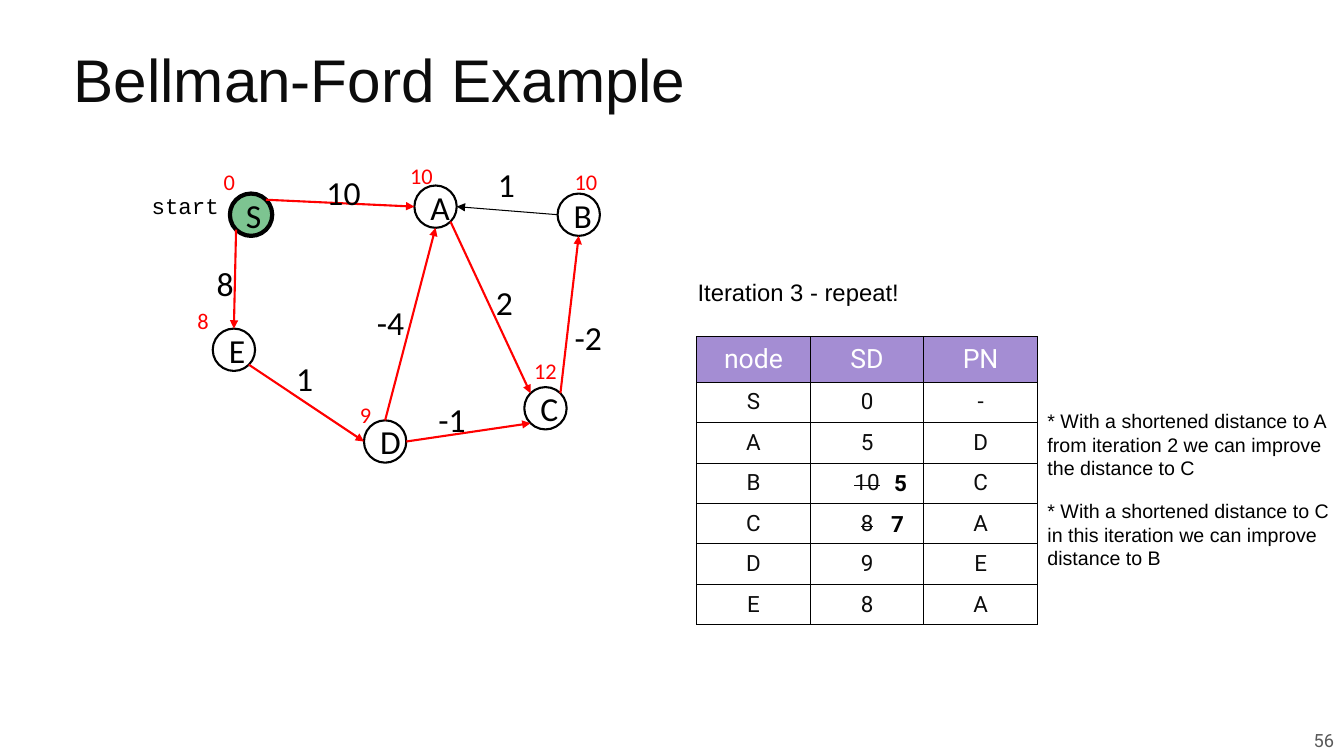
import math
from collections import namedtuple
from dataclasses import dataclass

import pptx
import pptx.util
import pptx.dml.color
import pptx.enum.shapes
import pptx.enum.text
import pptx.oxml
import pptx.oxml.ns
from pptx.util import Inches

Box = namedtuple("Box", "left top width height")
ALIGN = pptx.enum.text.PP_ALIGN
ANCHOR = pptx.enum.text.MSO_ANCHOR


@dataclass(frozen=True)
class Style:
    font: str
    size: float
    color: str
    bold: bool = False


class Theme:
    black, red, white = "000000", "FF0000", "FFFFFF"
    start_fill, header_fill = "7DC491", "A48DD3"
    title = Style("Arial", 43, "0C0C0C")
    header = Style("Roboto", 19, white)
    cell = Style("Roboto", 16, "0C0C0C")
    revision = Style("Roboto", 16, black, True)
    node = Style("Calibri", 24, black)
    distance = Style("Calibri", 16, red)
    start = Style("Courier New", 16, black)
    heading = Style("Arial", 17, black)
    note = Style("Arial", 14, black)
    page = Style("Roboto", 13, "595959")


def rgb(value):
    return pptx.dml.color.RGBColor.from_string(value)


def add_run(paragraph, text, style, struck=False):
    run = paragraph.add_run()
    run.text = text
    run.font.name = style.font
    run.font.size = pptx.util.Pt(style.size)
    run.font.color.rgb = rgb(style.color)
    run.font.bold = style.bold
    if struck:
        run.font._element.set("strike", "sngStrike")


def set_frame(frame, horizontal=0.1, vertical=0.1, anchor=ANCHOR.TOP):
    frame.word_wrap = True
    frame.auto_size = pptx.enum.text.MSO_AUTO_SIZE.NONE
    frame.vertical_anchor = anchor
    frame.margin_left = frame.margin_right = Inches(horizontal)
    frame.margin_top = frame.margin_bottom = Inches(vertical)


def add_text(slide, box, text, style, align=ALIGN.LEFT, anchor=ANCHOR.TOP, margins=(0.1, 0.1)):
    shape = slide.shapes.add_textbox(*map(Inches, box))
    set_frame(shape.text_frame, *margins, anchor)
    paragraph = shape.text_frame.paragraphs[0]
    paragraph.alignment = align
    add_run(paragraph, text, style)


def add_title(slide, box, text):
    title = slide.shapes.title
    title.left, title.top, title.width, title.height = map(Inches, box)
    set_frame(title.text_frame, 0.1, 0.05, ANCHOR.MIDDLE)
    paragraph = title.text_frame.paragraphs[0]
    paragraph.alignment = ALIGN.LEFT
    paragraph.line_spacing = 0.8
    add_run(paragraph, text, Theme.title)


# Graph: node centres and label corners are offsets from the graph box
NODE_SIZE = 0.42
NODES = {"S": (1.29, 0.63), "A": (3.12, 0.55), "E": (1.12, 1.97),
         "D": (2.62, 2.88), "B": (4.54, 0.63), "C": (4.21, 2.55)}
COMPASS = {name: index * math.pi / 4
           for index, name in enumerate(("E", "SE", "S", "SW", "W", "NW", "N", "NE"))}
EDGES = [("S", "SW", "E", "N"), ("E", "SE", "D", "W"), ("S", "NE", "A", "W"),
         ("B", "W", "A", "E"), ("C", "NE", "B", "S"), ("A", "SE", "C", "NW"),
         ("D", "N", "A", "S"), ("D", "E", "C", "SW")]
UNUSED_EDGE = ("B", "A")
WEIGHTS = [("10", 1.94, 0.16, 0.54), ("1", 3.64, 0.02 + 0.06, 0.37), ("2", 3.62, 1.25, 0.54),
           ("-2", 4.4, 1.59, 0.67), ("-1", 3.05, 2.41, 0.54), ("1", 1.64, 2.0, 0.37),
           ("8", 0.85, 1.06, 0.37), ("-4", 2.44, 1.45, 0.54)]
DISTANCES = [("10", 2.77, 0.06, 0.54), ("10", 4.4, 0.12, 0.5), ("9", 2.27, 2.43, 0.36),
             ("8", 0.66, 1.5, 0.36), ("12", 4.0, 1.99, 0.54), ("0", 0.92, 0.12, 0.32)]


def add_node(slide, box, name):
    x, y = NODES[name]
    radius = NODE_SIZE / 2
    node = slide.shapes.add_shape(
        pptx.enum.shapes.MSO_SHAPE.OVAL, Inches(box.left + x - radius),
        Inches(box.top + y - radius), Inches(NODE_SIZE), Inches(NODE_SIZE))
    node.shadow.inherit = False
    is_start = name == "S"
    if is_start:
        node.fill.solid()
        node.fill.fore_color.rgb = rgb(Theme.start_fill)
    else:
        node.fill.background()
    node.line.color.rgb = rgb(Theme.black)
    node.line.width = pptx.util.Pt(3 if is_start else 1.5)
    set_frame(node.text_frame, 0.1, 0.05, ANCHOR.MIDDLE)
    paragraph = node.text_frame.paragraphs[0]
    paragraph.alignment = ALIGN.CENTER
    add_run(paragraph, name, Theme.node)


def rim_point(box, name, side):
    x, y = NODES[name]
    angle = COMPASS[side]
    return (Inches(box.left + x + NODE_SIZE / 2 * math.cos(angle)),
            Inches(box.top + y + NODE_SIZE / 2 * math.sin(angle)))


def add_edge(slide, box, source, source_side, target, target_side):
    edge = slide.shapes.add_connector(
        pptx.enum.shapes.MSO_CONNECTOR.STRAIGHT,
        *rim_point(box, source, source_side), *rim_point(box, target, target_side))
    unused = (source, target) == UNUSED_EDGE
    edge.line.color.rgb = rgb(Theme.black if unused else Theme.red)
    edge.line.width = pptx.util.Pt(0.75 if unused else 1.5)
    line = edge.line._get_or_add_ln()
    pptx.oxml.ns.qn("a:tailEnd")
    line.append(pptx.oxml.parse_xml(
        f'<a:tailEnd {pptx.oxml.ns.nsdecls("a")} type="triangle"/>'))
    edge._element.spPr.append(pptx.oxml.parse_xml(
        f'<a:effectLst {pptx.oxml.ns.nsdecls("a")}/>'))


def add_graph(slide, box):
    add_text(slide, Box(box.left + 0.04, box.top + 0.28, 1.06, 0.52), "start",
             Theme.start, ALIGN.RIGHT, margins=(0.13, 0.13))
    for name in NODES:
        add_node(slide, box, name)
    for edge in EDGES:
        add_edge(slide, box, *edge)
    for labels, style, height in ((WEIGHTS, Theme.node, 0.5), (DISTANCES, Theme.distance, 0.37)):
        for text, x, y, width in labels:
            add_text(slide, Box(box.left + x, box.top + y, width, height), text,
                     style, margins=(0.1, 0.05))


# Table of shortest distances (SD) and previous nodes (PN)
ROWS = [("node", "SD", "PN"), ("S", "0", "-"), ("A", "5", "D"), ("B", "10", "C"),
        ("C", "8", "A"), ("D", "9", "E"), ("E", "8", "A")]
STRUCK_CELLS = {(3, 1), (4, 1)}
REVISIONS = [("7", 1.83, 1.62), ("5", 1.86, 1.21)]


def add_borders(cell):
    properties = cell._tc.get_or_add_tcPr()
    for index, side in enumerate(("lnL", "lnR", "lnT", "lnB")):
        properties.insert(index, pptx.oxml.parse_xml(
            f'<a:{side} {pptx.oxml.ns.nsdecls("a")} w="9525"><a:solidFill>'
            f'<a:srgbClr val="{Theme.black}"/></a:solidFill></a:{side}>'))


def add_distance_table(slide, box):
    table = slide.shapes.add_table(len(ROWS), len(ROWS[0]), *map(Inches, box)).table
    header_height = 0.44
    for column in table.columns:
        column.width = Inches(box.width / len(ROWS[0]))
    for index, row in enumerate(table.rows):
        row.height = Inches((box.height - header_height) / (len(ROWS) - 1) if index else header_height)
        for position, text in enumerate(ROWS[index]):
            cell = table.cell(index, position)
            cell.fill.solid()
            cell.fill.fore_color.rgb = rgb(Theme.white if index else Theme.header_fill)
            cell.vertical_anchor = ANCHOR.MIDDLE
            cell.margin_left = cell.margin_right = Inches(0.07)
            cell.margin_top = cell.margin_bottom = Inches(0.07)
            paragraph = cell.text_frame.paragraphs[0]
            paragraph.alignment = ALIGN.CENTER
            add_run(paragraph, text, Theme.cell if index else Theme.header,
                    (index, position) in STRUCK_CELLS)
            add_borders(cell)
    for text, x, y in REVISIONS:
        add_text(slide, Box(box.left + x, box.top + y, 0.36, 0.47), text, Theme.revision)


def add_notes(slide, box):
    notes = ["* With a shortened distance to A from iteration 2 we can improve the distance to C",
             "* With a shortened distance to C in this iteration we can improve distance to B"]
    for index, text in enumerate(notes):
        add_text(slide, Box(box.left, box.top + index * 0.89, box.width, 0.91), text, Theme.note)


def main():
    presentation = pptx.Presentation()
    presentation.slide_width, presentation.slide_height = Inches(13.33), Inches(7.5)
    slide = presentation.slides.add_slide(presentation.slide_layouts[5])
    add_title(slide, Box(0.63, 0.29, 12.23, 1.11), "Bellman-Ford Example")
    add_graph(slide, Box(1.2, 1.5, 5.1, 3.1))
    add_text(slide, Box(6.82, 2.65, 6.22, 0.49), "Iteration 3 - repeat!", Theme.heading)
    add_distance_table(slide, Box(6.91, 3.34, 3.38, 2.85))
    add_notes(slide, Box(10.29, 3.96, 3.04, 1.8))
    add_text(slide, Box(8.65, 7.11, 4.68, 0.46), "56", Theme.page, ALIGN.RIGHT, ANCHOR.MIDDLE)
    presentation.save("out.pptx")


if __name__ == "__main__":
    main()
